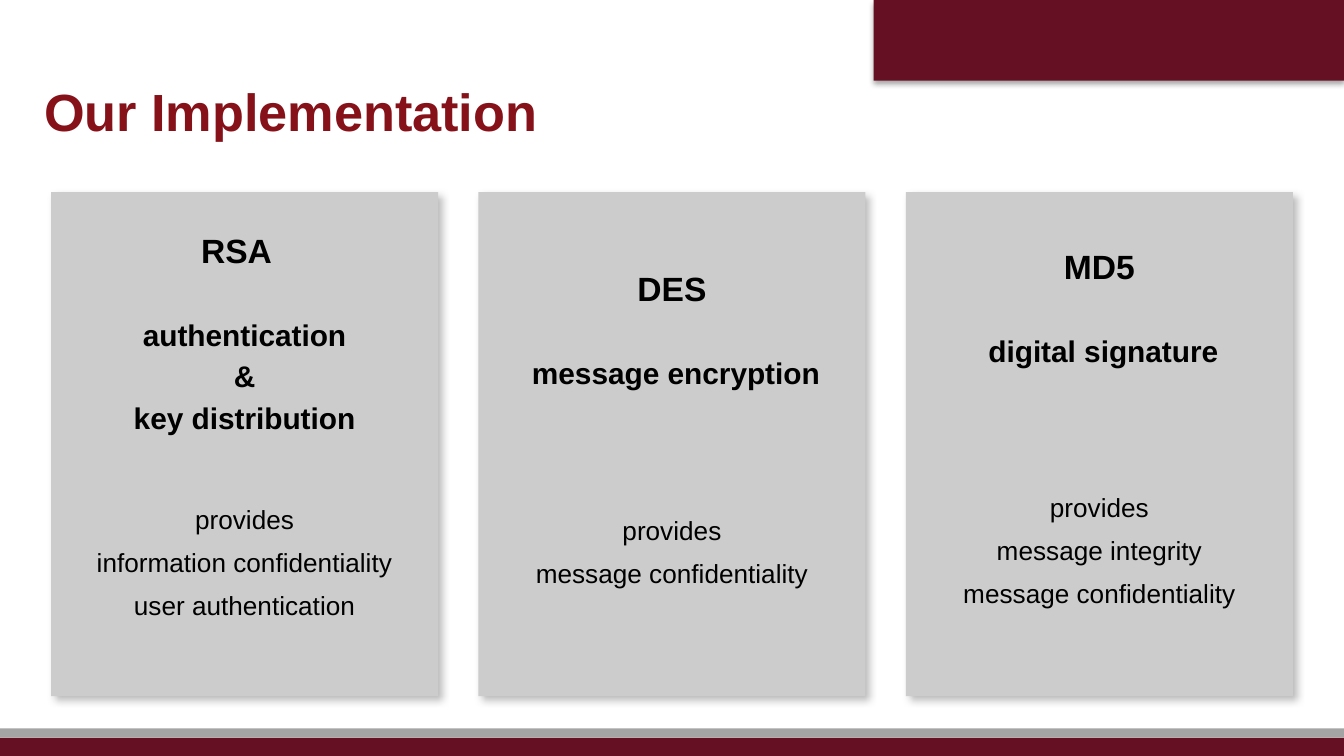
from dataclasses import dataclass

from lxml.etree import SubElement
from pptx import Presentation
from pptx.dml.color import RGBColor
from pptx.enum.shapes import MSO_SHAPE as Shape
from pptx.enum.text import MSO_ANCHOR as Anchor, PP_ALIGN as Align
from pptx.oxml.ns import qn
from pptx.util import Inches, Pt

WIDTH = 10
HEIGHT = WIDTH * 9 / 16
MAROON = RGBColor(0x66, 0x10, 0x23)
RED = RGBColor(0x86, 0x11, 0x19)
SILVER = RGBColor(0xA4, 0xA4, 0xA4)
GRAY = RGBColor(0xCC, 0xCC, 0xCC)
BLACK = RGBColor(0, 0, 0)
FONT = "Arial"
CARD_LEFT, CARD_TOP, CARD_PITCH = 0.38, 1.43, 3.18
CARD_WIDTH, CARD_HEIGHT = 2.88, 3.75
ROLE_GAP = 22


@dataclass(frozen=True)
class Shadow:
    alpha: int
    blur: float
    dist: float
    angle: int


@dataclass(frozen=True)
class Bar:
    left: float
    top: float
    width: float
    height: float
    color: RGBColor
    shadow: Shadow | None = None


@dataclass(frozen=True)
class Card:
    name: str
    roles: tuple[str, ...]
    benefits: tuple[str, ...]
    benefit_gap: float
    bottom: float
    name_right: float = 0
    role_left: float = 0


CARD_SHADOW = Shadow(25, 4, 3, 45)
BARS = (
    Bar(0.65 * WIDTH, 0, 0.35 * WIDTH, 0.6, MAROON, Shadow(35, 3.1, 1.8, 90)),
    Bar(0, 5.42, WIDTH, 0.07, SILVER),
    Bar(0, 5.49, WIDTH, HEIGHT - 5.49, MAROON),
)
CARDS = (
    Card("RSA", ("authentication", "&", "key distribution"),
         ("information confidentiality", "user authentication"),
         30, 0.28, name_right=0.12),
    Card("DES", ("message encryption",), ("message confidentiality",),
         60, 0.24, role_left=0.06),
    Card("MD5", ("digital signature",),
         ("message integrity", "message confidentiality"),
         59.5, 0.25, role_left=0.06),
)


def add_shadow(s, shadow: Shadow) -> None:
    effects = s._element.spPr.find(qn("a:effectLst"))
    outer = SubElement(effects, qn("a:outerShdw"), {
        "blurRad": str(Pt(shadow.blur)), "dist": str(Pt(shadow.dist)),
        "dir": str(shadow.angle * 60000), "algn": "tl", "rotWithShape": "0"})
    color = SubElement(outer, qn("a:srgbClr"), val=str(BLACK))
    SubElement(color, qn("a:alpha"), val=str(shadow.alpha * 1000))


def add_bar(slide, bar: Bar):
    s = slide.shapes.add_shape(
        Shape.RECTANGLE, Inches(bar.left), Inches(bar.top),
        Inches(bar.width), Inches(bar.height))
    s.fill.solid()
    s.fill.fore_color.rgb = bar.color
    s.line.fill.background()
    s.shadow.inherit = False
    if bar.shadow:
        add_shadow(s, bar.shadow)
    return s


def set_frame(tf, anchor: Anchor, side: float, bottom: float) -> None:
    tf.word_wrap = True
    tf.vertical_anchor = anchor
    tf.margin_left = tf.margin_right = Inches(side)
    tf.margin_top = 0
    tf.margin_bottom = Inches(bottom)


def add_run(p, text: str, size: float, color: RGBColor, bold: bool) -> None:
    r = p.add_run()
    r.text = text
    r.font.name = FONT
    r.font.size = Pt(size)
    r.font.bold = bold
    r.font.color.rgb = color


def add_line(p, text: str, size: float, bold: bool = True, before: float = 0,
             spacing: float = 1.0, left: float = 0, right: float = 0) -> None:
    p.alignment = Align.CENTER
    p.space_before = Pt(before)
    p.space_after = Pt(3)
    p.line_spacing = spacing
    pPr = p._p.get_or_add_pPr()
    pPr.set("marL", str(Inches(left)))
    pPr.set("marR", str(Inches(right)))
    add_run(p, text, size, BLACK, bold)


def add_card(slide, column: int, card: Card) -> None:
    s = add_bar(slide, Bar(CARD_LEFT + column * CARD_PITCH, CARD_TOP,
                           CARD_WIDTH, CARD_HEIGHT, GRAY, CARD_SHADOW))
    tf = s.text_frame
    set_frame(tf, Anchor.MIDDLE, 0.1, card.bottom)
    add_line(tf.paragraphs[0], card.name, 18, right=card.name_right)
    for i, role in enumerate(card.roles):
        add_line(tf.add_paragraph(), role, 16, left=card.role_left,
                 before=0 if i else ROLE_GAP)
    for i, benefit in enumerate(("provides", *card.benefits)):
        add_line(tf.add_paragraph(), benefit, 14, bold=False, spacing=1.2,
                 before=0 if i else card.benefit_gap)


def add_title(slide, text: str) -> None:
    s = slide.shapes.add_textbox(Inches(0.33), Inches(0.36),
                                 Inches(7.67), Inches(0.7))
    set_frame(s.text_frame, Anchor.BOTTOM, 0, 0)
    add_run(s.text_frame.paragraphs[0], text, 28, RED, True)


def main() -> None:
    prs = Presentation()
    prs.slide_width, prs.slide_height = Inches(WIDTH), Inches(HEIGHT)
    slide = prs.slides.add_slide(prs.slide_layouts[6])
    for bar in BARS:
        add_bar(slide, bar)
    add_title(slide, "Our Implementation")
    for column, card in enumerate(CARDS):
        add_card(slide, column, card)
    prs.save("out.pptx")


if __name__ == "__main__":
    main()
